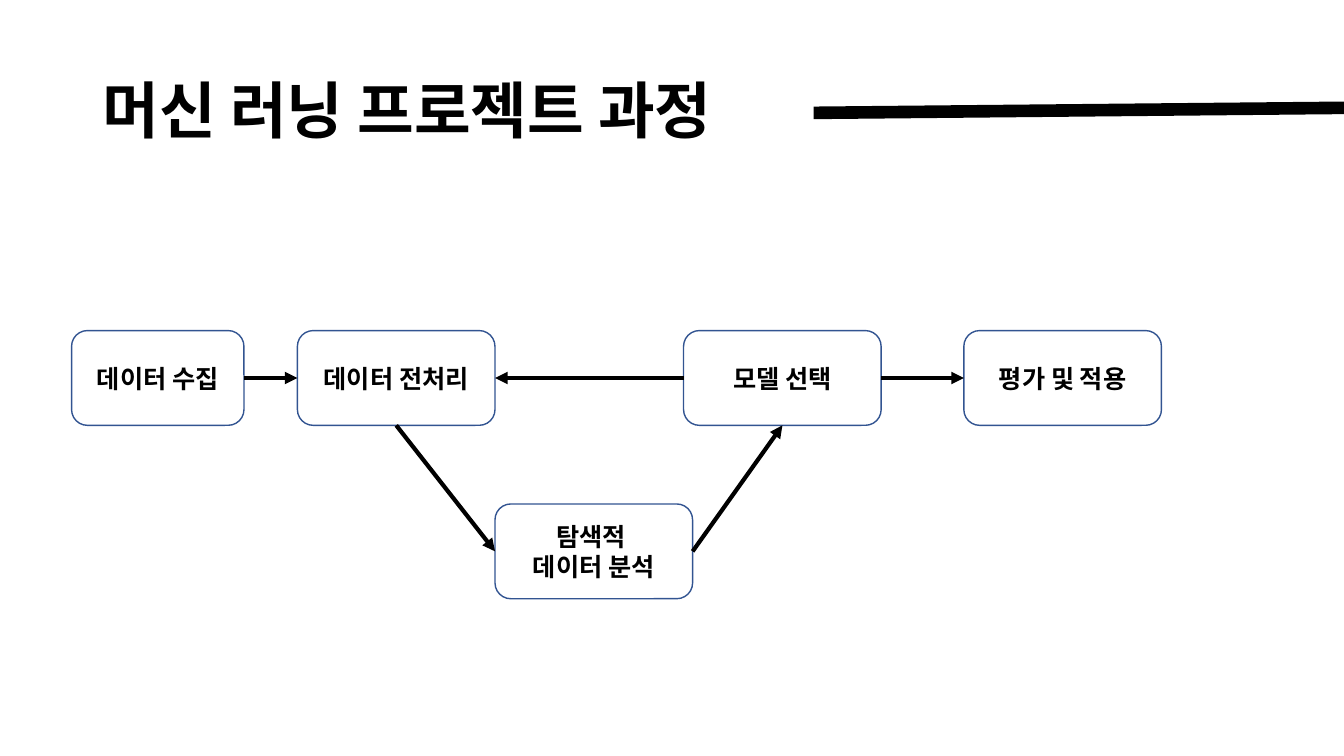
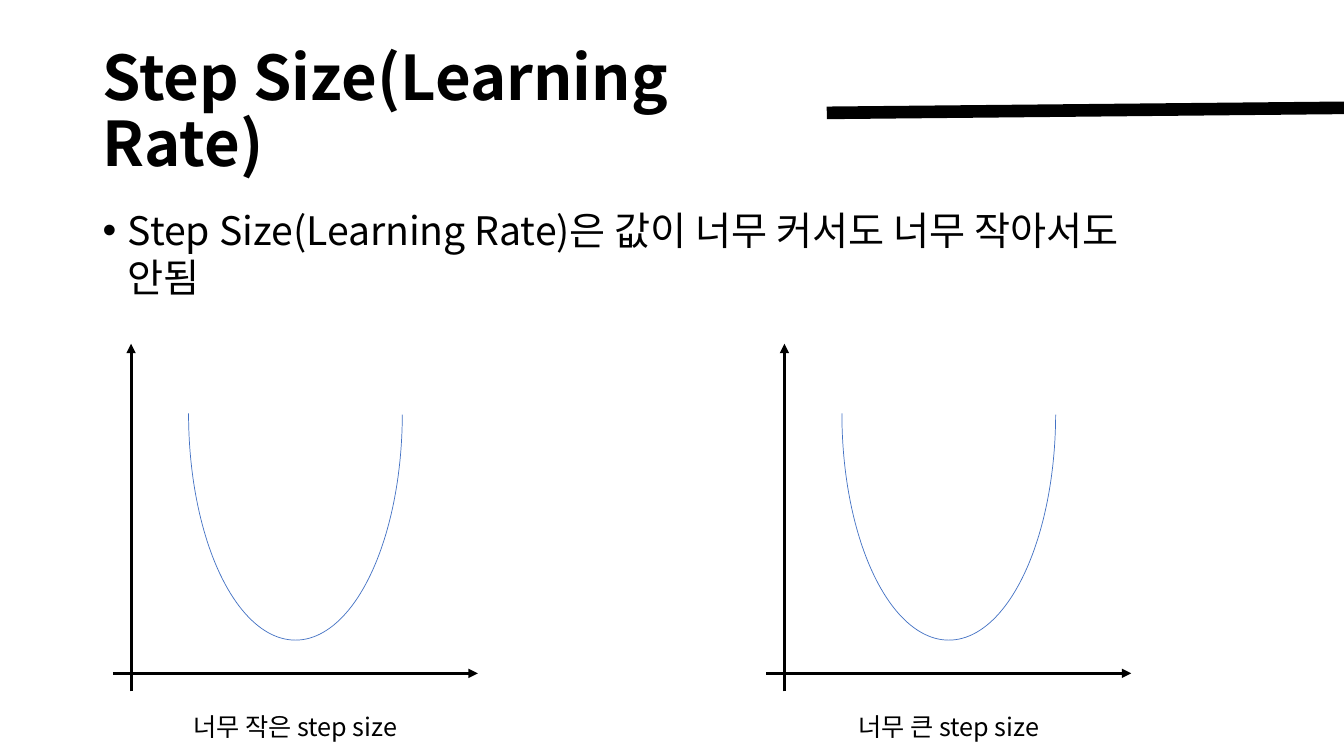
from lxml import etree
from pptx import Presentation
from pptx.dml.color import RGBColor
from pptx.enum.shapes import MSO_CONNECTOR, MSO_SHAPE
from pptx.enum.text import MSO_ANCHOR, PP_ALIGN
from pptx.oxml.ns import qn
from pptx.util import Inches, Pt

FONT = "Noto Sans CJK KR"
BLACK, BOX_BLUE, CURVE_BLUE = "000000", "325491", "4472C4"
TOP, LEFT, BOTTOM, RIGHT = range(4)  # connection sites of a box


def write(frame, text, size, bold=False, align=PP_ALIGN.LEFT):
    """Fill a text frame with one wrapped, formatted paragraph and return it."""
    frame.word_wrap = True
    paragraph = frame.paragraphs[0]
    paragraph.text = text
    paragraph.alignment = align
    for run in paragraph.runs:
        run.font.size = Pt(size)
        run.font.bold = bold
        run.font.name = FONT
        run.font.color.rgb = RGBColor.from_string(BLACK)
        etree.SubElement(run.font._element, qn("a:ea"), typeface=FONT)
    return paragraph


def draw_line(slide, x1, y1, x2, y2, width, arrow=True):
    line = slide.shapes.add_connector(
        MSO_CONNECTOR.STRAIGHT, Inches(x1), Inches(y1), Inches(x2), Inches(y2))
    line.line.color.rgb = RGBColor.from_string(BLACK)
    line.line.width = Pt(width)
    if arrow:
        etree.SubElement(line.line._get_or_add_ln(), qn("a:tailEnd"), type="triangle")
    etree.SubElement(line._element.spPr, qn("a:effectLst"))
    return line


prs = Presentation()
prs.slide_width, prs.slide_height = Inches(13.33), Inches(7.5)

# Shared title and rule
slides = []
for title, title_width in [("머신 러닝 프로젝트 과정", 7.15), ("Step Size(Learning Rate)", 7.28)]:
    slide = prs.slides.add_slide(prs.slide_layouts[6])
    heading = slide.shapes.add_textbox(
        Inches(0.92), Inches(0.4), Inches(title_width), Inches(1.45)).text_frame
    heading.vertical_anchor = MSO_ANCHOR.MIDDLE
    write(heading, title, 44, bold=True).line_spacing = 0.9
    draw_line(slide, 0.92 + title_width, 1.12, 13.33, 1.07, 9, arrow=False)
    slides.append(slide)
process_slide, step_slide = slides

# Slide 1: project flow
steps = {
    "collect": ("데이터 수집", 0.71, 3.28, 1.71),
    "prepare": ("데이터 전처리", 2.95, 3.28, 1.96),
    "explore": ("탐색적 \v데이터 분석", 4.91, 5, 1.96),
    "model": ("모델 선택", 6.78, 3.28, 1.96),
    "apply": ("평가 및 적용", 9.56, 3.28, 1.96),
}
boxes = {}
for step, (label, left, top, width) in steps.items():
    box = process_slide.shapes.add_shape(
        MSO_SHAPE.ROUNDED_RECTANGLE, Inches(left), Inches(top), Inches(width), Inches(0.94))
    box.shadow.inherit = False
    box.fill.background()
    box.line.color.rgb = RGBColor.from_string(BOX_BLUE)
    box.line.width = Pt(1)
    box.text_frame.vertical_anchor = MSO_ANCHOR.MIDDLE
    write(box.text_frame, label, 18, bold=True, align=PP_ALIGN.CENTER)
    boxes[step] = box

for source, source_site, target, target_site in [
    ("collect", RIGHT, "prepare", LEFT),
    ("prepare", BOTTOM, "explore", LEFT),
    ("explore", RIGHT, "model", BOTTOM),
    ("model", LEFT, "prepare", RIGHT),
    ("model", RIGHT, "apply", LEFT),
]:
    arrow = draw_line(process_slide, 0, 0, 1, 1, 3)
    arrow.begin_connect(boxes[source], source_site)
    arrow.end_connect(boxes[target], target_site)

# Slide 2: bullet and two loss curves
body = step_slide.shapes.add_textbox(Inches(0.92), Inches(2), Inches(11.5), Inches(1.1))
bullet = write(
    body.text_frame, "Step Size(Learning Rate)은 값이 너무 커서도 너무 작아서도 \v안됨", 28)
bullet.space_before = Pt(10)
bullet_props = bullet._p.get_or_add_pPr()
bullet_props.set("marL", str(Inches(0.25)))
bullet_props.set("indent", str(-Inches(0.25)))
etree.SubElement(bullet_props, qn("a:buFont"), typeface="Arial")
etree.SubElement(bullet_props, qn("a:buChar"), char="•")

for caption, left in [("너무 작은 step size", 1.12), ("너무 큰 step size", 7.6)]:
    draw_line(step_slide, left, 6.68, left + 3.62, 6.68, 2.25)
    draw_line(step_slide, left + 0.18, 6.86, left + 0.18, 3.41, 2.25)

    curve = step_slide.shapes.add_shape(
        MSO_SHAPE.ARC, Inches(left + 0.75), Inches(1.85), Inches(2.12), Inches(4.5))
    curve.adjustments[0], curve.adjustments[1] = 108.45, 0
    curve.rotation = 180
    curve.shadow.inherit = False
    curve.fill.background()
    curve.line.color.rgb = RGBColor.from_string(CURVE_BLUE)
    curve.line.width = Pt(0.5)

    label = step_slide.shapes.add_textbox(
        Inches(left + 0.31), Inches(7.01), Inches(3), Inches(0.4))
    write(label.text_frame, caption, 18, align=PP_ALIGN.CENTER)

prs.save("out.pptx")
